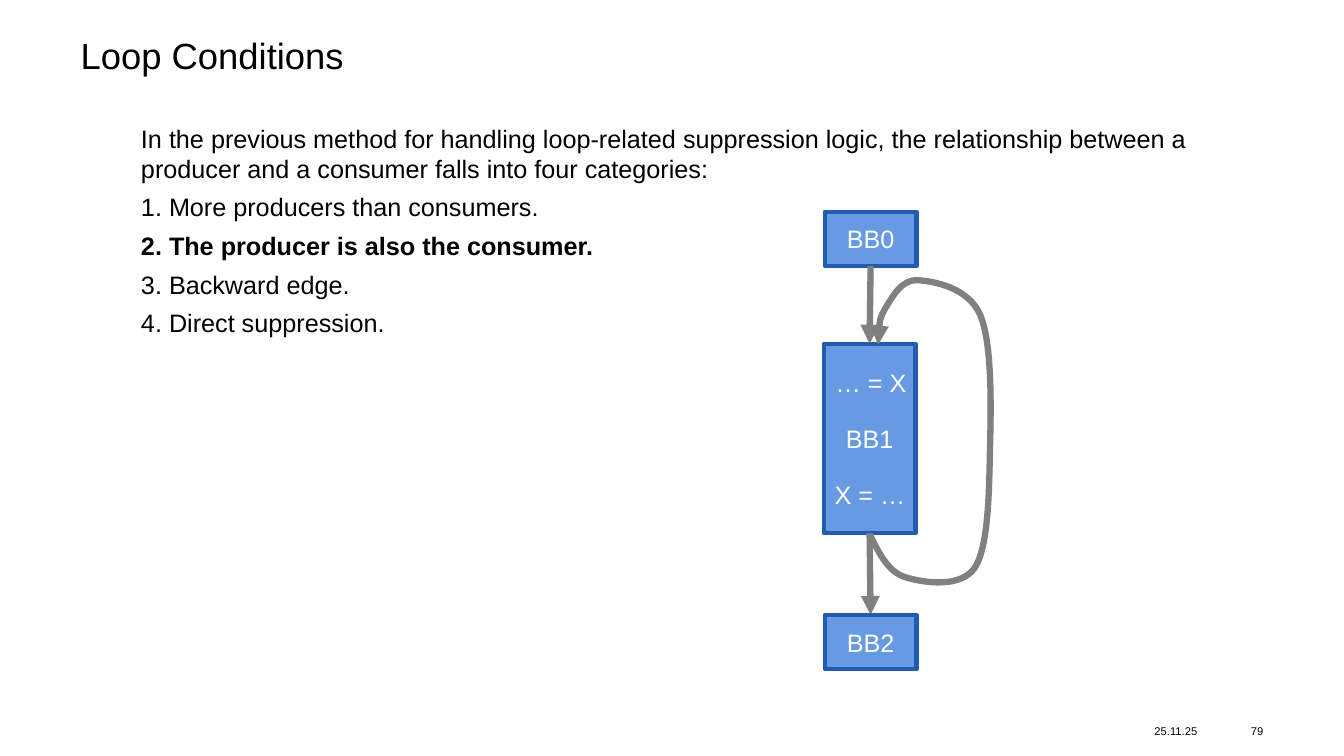
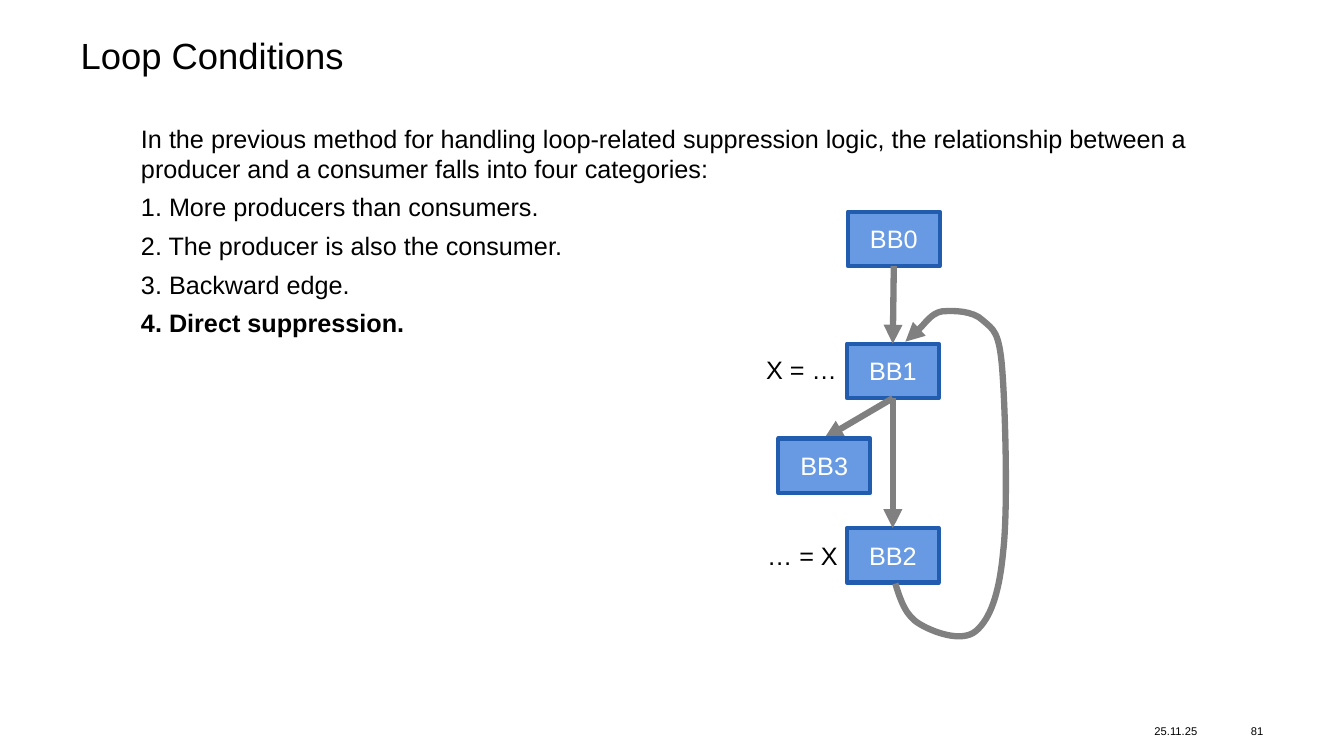
from dataclasses import dataclass

from lxml import etree
from pptx import Presentation
from pptx import util as u
from pptx.dml.color import RGBColor
from pptx.enum import shapes, text
from pptx.oxml import ns

PX = 9144
NODE_W, NODE_H = 91, 54

INTRO = ("In the previous method for handling loop-related suppression logic, "
         "the relationship between a producer and a consumer falls into four categories:")
CATEGORIES = ["1. More producers than consumers.",
              "2. The producer is also the consumer.",
              "3. Backward edge.",
              "4. Direct suppression."]


@dataclass(frozen=True)
class Theme:
    font: str = "Arial"
    ink: RGBColor = RGBColor(0, 0, 0)
    paper: RGBColor = RGBColor(255, 255, 255)
    node: RGBColor = RGBColor.from_string("679AE2")
    border: RGBColor = RGBColor.from_string("215CAF")
    edge: RGBColor = RGBColor.from_string("808080")
    title: int = 26
    body: int = 18
    footer: int = 8
    border_w: float = 3
    edge_w: float = 4.5


def set_all(obj, values):
    for name, value in values.items():
        setattr(obj, name, value)


class Deck:
    def __init__(self, theme):
        self.theme = theme
        self.prs = Presentation()
        set_all(self.prs, {"slide_width": 1333 * PX, "slide_height": 750 * PX})
        self.s = None

    def slide(self, title, number):
        t = self.theme
        self.s = self.prs.slides.add_slide(self.prs.slide_layouts[6])
        set_all(self.s.background.fill, {})
        self.s.background.fill.solid()
        self.s.background.fill.fore_color.rgb = t.paper
        footer = {"size": t.footer, "anchor": text.MSO_ANCHOR.MIDDLE, "margin": 0}
        self.text((1145, 713, 67, 24), ["25.11.25"], **footer)
        self.text((1218, 713, 35, 24), [str(number)], align=text.PP_ALIGN.RIGHT, **footer)
        self.text((80, 38, 1173, 38), [title], size=t.title, margin=0, leading=0.9)

    def fill_text(self, tf, lines, color, size, align=None, bold=None, para=None):
        for i, line in enumerate(lines):
            p = tf.paragraphs[0] if i == 0 else tf.add_paragraph()
            set_all(p, {"alignment": align, **(para or {})})
            if i:
                p.space_before = u.Pt(6)
            r = p.add_run()
            r.text = line
            set_all(r.font, {"name": self.theme.font, "size": u.Pt(size), "bold": i == bold})
            r.font.color.rgb = color

    def text(self, box, lines, size=None, color=None, align=None, bold=None,
             anchor=text.MSO_ANCHOR.TOP, margin=None, wrap=True, leading=None):
        t = self.theme
        tf = self.s.shapes.add_textbox(*(v * PX for v in box)).text_frame
        set_all(tf, {"word_wrap": wrap, "vertical_anchor": anchor})
        if margin is not None:
            set_all(tf, {f"margin_{side}": margin for side in ("left", "top", "right", "bottom")})
        self.fill_text(tf, lines, color or t.ink, size or t.body, align, bold,
                       {"line_spacing": leading})

    def categories(self, chosen):
        self.text((130, 117, 1059, 264), [INTRO, *CATEGORIES], bold=chosen)

    def label(self, x, y, caption, color=None):
        self.text((x, y, NODE_W, 40), [caption], color=color, wrap=False)

    def node(self, x, y, name, height=NODE_H):
        t = self.theme
        sp = self.s.shapes.add_shape(shapes.MSO_SHAPE.RECTANGLE,
                                     x * PX, y * PX, NODE_W * PX, height * PX)
        sp.shadow.inherit = False
        sp.fill.solid()
        sp.fill.fore_color.rgb = t.node
        self.stroke(sp, t.border, t.border_w)
        sp.text_frame.vertical_anchor = text.MSO_ANCHOR.MIDDLE
        self.fill_text(sp.text_frame, [name], t.paper, t.body, text.PP_ALIGN.CENTER)
        return sp

    def stroke(self, sp, color, width):
        sp.line.color.rgb = color
        sp.line.width = u.Pt(width)

    def arrow(self, sp):
        self.stroke(sp, self.theme.edge, self.theme.edge_w)
        ln = sp._element.spPr.find(ns.qn("a:ln"))
        etree.SubElement(ln, ns.qn("a:tailEnd"), type="triangle")

    def link(self, source, target, under=False):
        cx = self.s.shapes.add_connector(shapes.MSO_CONNECTOR.STRAIGHT, 0, 0, 0, 0)
        cx.begin_connect(source, 2)
        cx.end_connect(target, 0)
        self.arrow(cx)
        etree.SubElement(cx._element.spPr, ns.qn("a:effectLst"))
        if under:
            target._element.addprevious(cx._element)

    def back_edge(self, start, points):
        fb = self.s.shapes.build_freeform(*start, scale=PX)
        fb.add_line_segments(points, close=False)
        sp = fb.convert_to_shape()
        sp.shadow.inherit = False
        sp.fill.background()
        outline = sp._element.xpath(".//a:path")[0]
        segments = outline.findall(ns.qn("a:lnTo"))
        for i in range(0, len(segments), 3):
            curve = etree.SubElement(outline, ns.qn("a:cubicBezTo"))
            for segment in segments[i:i + 3]:
                curve.append(segment[0])
                outline.remove(segment)
        self.arrow(sp)


def producer_is_consumer(deck):
    deck.slide("Loop Conditions", 79)
    deck.categories(2)
    bb1 = deck.node(817, 341, "BB1", height=188)
    bb2 = deck.node(818, 610, "BB2")
    bb0 = deck.node(818, 210, "BB0")
    deck.link(bb1, bb2, under=True)
    deck.label(819, 359, "… = X", deck.theme.paper)
    deck.label(818, 471, "X = …", deck.theme.paper)
    deck.back_edge((863, 531), [
        (872, 549), (881, 568), (899, 573),
        (916, 578), (953, 584), (967, 563),
        (981, 541), (981, 484), (982, 442),
        (983, 401), (984, 340), (972, 312),
        (960, 285), (926, 279), (910, 278),
        (894, 277), (885, 295), (878, 306),
        (872, 317), (871, 329), (871, 342)])
    deck.link(bb0, bb1)


def direct_suppression(deck):
    deck.slide("Loop Conditions", 81)
    deck.categories(4)
    bb1 = deck.node(840, 341, "BB1")
    bb2 = deck.node(840, 524, "BB2")
    bb3 = deck.node(772, 435, "BB3")
    bb0 = deck.node(841, 210, "BB0")
    deck.link(bb1, bb2)
    deck.link(bb1, bb3, under=True)
    deck.link(bb0, bb1)
    deck.label(751, 531, "… = X")
    deck.label(750, 347, "X = …")
    deck.back_edge((888, 579), [
        (893, 595), (898, 611), (912, 619),
        (925, 627), (954, 638), (968, 626),
        (982, 614), (991, 590), (995, 547),
        (1000, 504), (997, 404), (994, 366),
        (991, 328), (985, 327), (975, 318),
        (965, 308), (945, 308), (934, 309),
        (923, 311), (917, 322), (911, 327),
        (905, 332), (901, 335), (898, 339)])


def main():
    deck = Deck(Theme())
    producer_is_consumer(deck)
    direct_suppression(deck)
    deck.prs.save("out.pptx")


if __name__ == "__main__":
    main()
